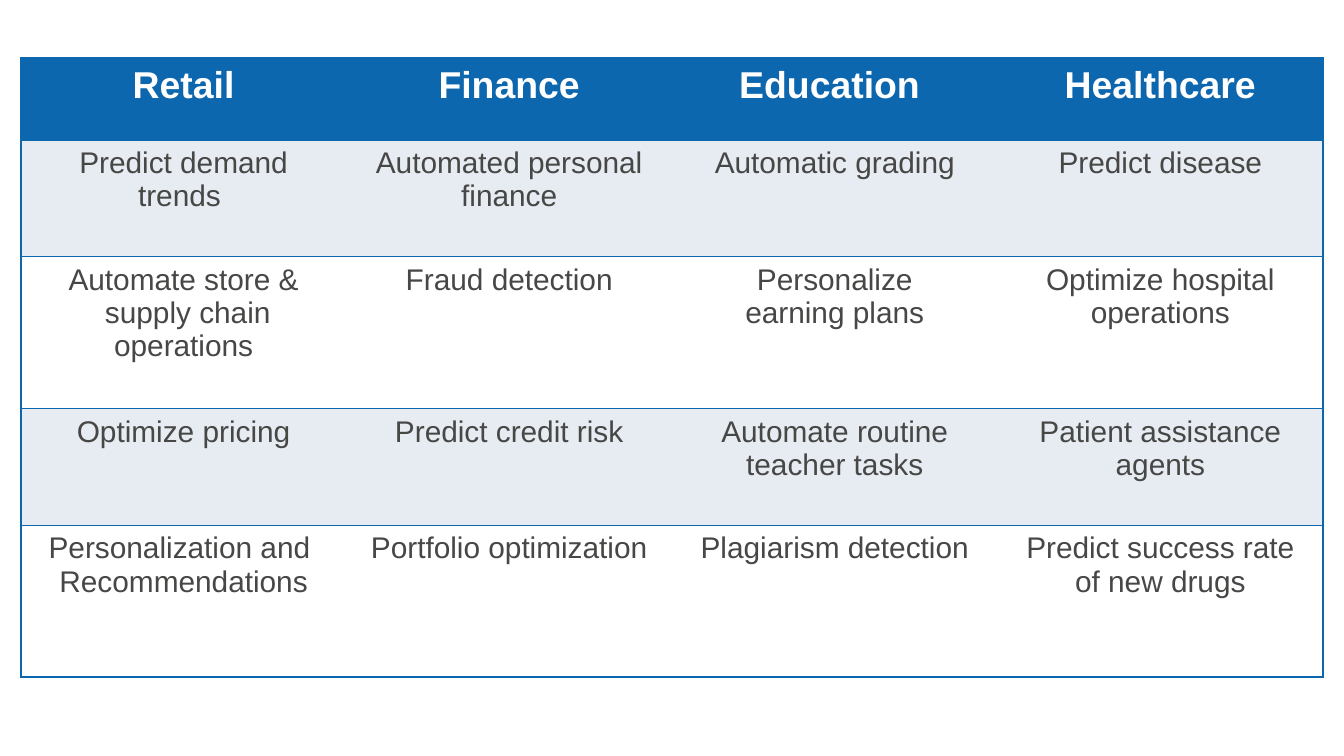
from lxml.etree import SubElement
from pptx import Presentation
from pptx.dml.color import RGBColor
from pptx.enum.text import PP_ALIGN
from pptx.oxml.ns import qn
from pptx.util import Inches, Pt

HUE = {"blue": "0C67AE", "pale": "E7EBF2", "white": "FFFFFF", "grey": "474746"}

# One list per table row; a line break starts a new paragraph
ROWS = [
    ["Retail", "Finance", "Education ", "Healthcare"],
    ["Predict demand trends ", "Automated personal finance",
     "Automatic grading", "Predict disease"],
    ["Automate store &\n supply chain operations", "Fraud detection",
     "Personalize\nearning plans", "Optimize hospital operations"],
    ["Optimize pricing", "Predict credit risk",
     "Automate routine teacher tasks", "Patient assistance agents"],
    ["Personalization and \nRecommendations", "Portfolio optimization",
     "Plagiarism detection", "Predict success rate of new drugs"],
]
HIGH = [0.61, 0.87, 1.13, 0.87, 1.13]
PAGE = 10
WIDE = 9.69
COLS = len(ROWS[0])


def edge(cell, side, shown):
    """Draw one side of a cell, or hide it."""
    line = SubElement(cell._tc.get_or_add_tcPr(), qn("a:ln" + side), w=str(Pt(1)))
    if shown:
        fill = SubElement(line, qn("a:solidFill"))
        SubElement(fill, qn("a:srgbClr"), val=HUE["blue"])
    else:
        SubElement(line, qn("a:noFill"))


# Widescreen slide, 16 to 9
deck = Presentation()
deck.slide_width, deck.slide_height = Inches(PAGE), Inches(PAGE * 9 / 16)
slide = deck.slides.add_slide(deck.slide_layouts[6])

# Table grid, centred across the slide
table = slide.shapes.add_table(
    len(ROWS), COLS, Inches((PAGE - WIDE) / 2), Inches(0.43),
    Inches(WIDE), Inches(sum(HIGH))).table
for col in table.columns:
    col.width = Inches(WIDE / COLS)
for row, high in zip(table.rows, HIGH):
    row.height = Inches(high)

# Cells: blue head row, then pale and white bands
for r, texts in enumerate(ROWS):
    head = r == 0
    band = "blue" if head else "pale" if r % 2 else "white"
    for c, text in enumerate(texts):
        cell = table.cell(r, c)
        edge(cell, "L", c == 0)
        edge(cell, "R", c == COLS - 1)
        edge(cell, "T", True)
        edge(cell, "B", True)
        cell.fill.solid()
        cell.fill.fore_color.rgb = RGBColor.from_string(HUE[band])
        cell.text_frame.text = text
        for para in cell.text_frame.paragraphs:
            para.alignment = PP_ALIGN.CENTER
            for run in para.runs:
                font = run.font
                font.name = "Arial"
                font.size = Pt(20 if head else 16)
                font.bold = head
                font.color.rgb = RGBColor.from_string(HUE["white" if head else "grey"])

deck.save("out.pptx")
